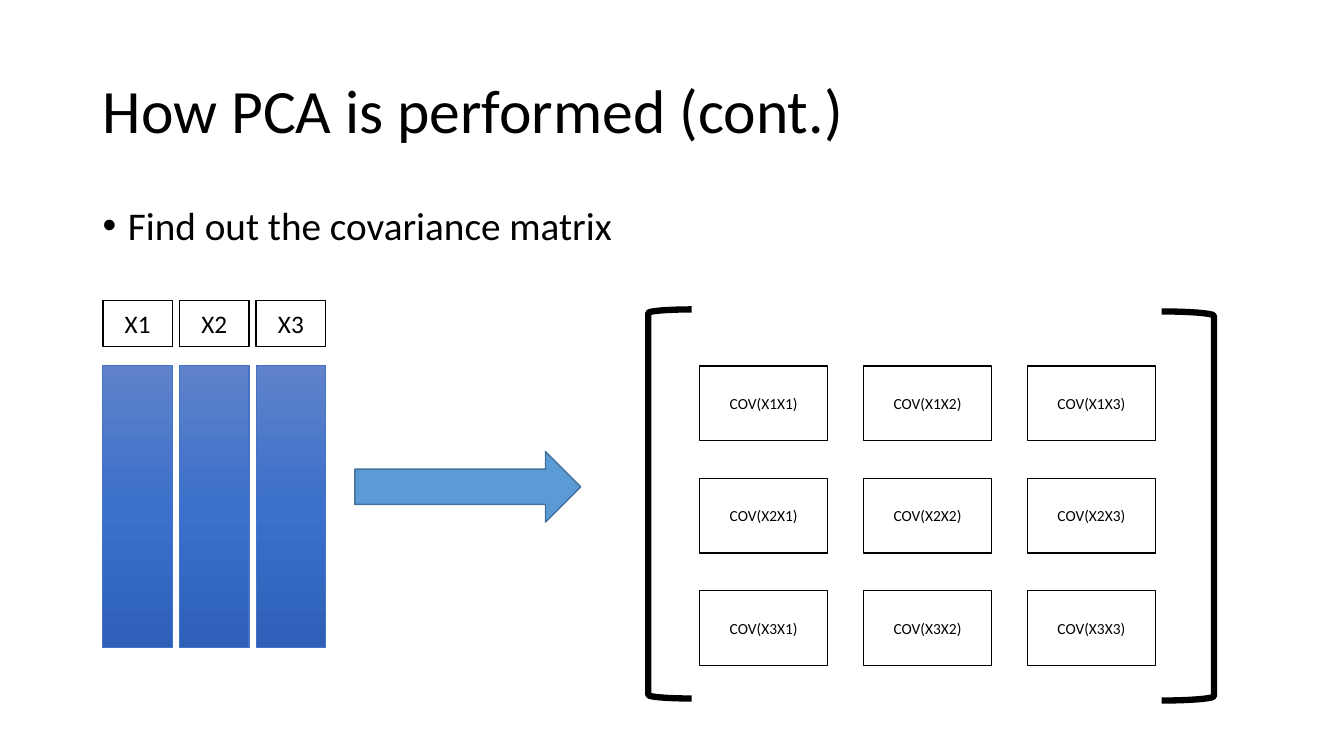
from copy import deepcopy

from lxml.etree import SubElement
from pptx import Presentation
from pptx.dml.color import RGBColor
from pptx.enum.shapes import MSO_SHAPE
from pptx.enum.text import MSO_ANCHOR, PP_ALIGN
from pptx.oxml.ns import qn
from pptx.util import Inches, Pt

FONT = "Calibri"
BLACK = "000000"
WHITE = "FFFFFF"
VARIABLES = ["X1", "X2", "X3"]
COLUMN_STOPS = [(0, "5F82CA"), (0.5, "3C70CA"), (1, "2E60B9")]


def color(value):
    """Turn a hex string into a colour."""
    return RGBColor.from_string(value)


def write(tf, text, size, align=PP_ALIGN.LEFT, anchor=MSO_ANCHOR.MIDDLE):
    """Write one run into a text frame and return its paragraph."""
    tf.word_wrap = True
    tf.vertical_anchor = anchor
    p = tf.paragraphs[0]
    p.alignment = align
    r = p.add_run()
    r.text = text
    r.font.name = FONT
    r.font.size = Pt(size)
    r.font.color.rgb = color(BLACK)
    return p


def add_shape(s, kind, x, y, w, h, fill=None, line=BLACK, width=1):
    """Add a flat preset shape, unfilled if no fill is given."""
    sp = s.shapes.add_shape(kind, Inches(x), Inches(y), Inches(w), Inches(h))
    sp.shadow.inherit = False
    if fill:
        sp.fill.solid()
        sp.fill.fore_color.rgb = color(fill)
    else:
        sp.fill.background()
    sp.line.color.rgb = color(line)
    sp.line.width = Pt(width)
    return sp


def add_label(s, text, size, x, y, w, h):
    """Add a white box with a black outline and centred text."""
    sp = add_shape(s, MSO_SHAPE.RECTANGLE, x, y, w, h, WHITE)
    write(sp.text_frame, text, size, PP_ALIGN.CENTER)


def fill_gradient(sp, stops):
    """Fill a shape from top to bottom with the given colour stops."""
    sp.fill.gradient()
    sp.fill.gradient_angle = 270
    first = sp._element.spPr.find(".//" + qn("a:gs"))
    first.addnext(deepcopy(first))
    for stop, (position, value) in zip(sp.fill.gradient_stops, stops):
        stop.position = position
        stop.color.rgb = color(value)


def add_title(s, text, x, y, w, h):
    """Add the slide title."""
    tf = s.shapes.add_textbox(Inches(x), Inches(y), Inches(w), Inches(h)).text_frame
    write(tf, text, 44).line_spacing = 0.9


def add_bullet(s, text, x, y, w, h):
    """Add the bulleted statement."""
    tf = s.shapes.add_textbox(Inches(x), Inches(y), Inches(w), Inches(h)).text_frame
    p = write(tf, text, 28, anchor=MSO_ANCHOR.TOP)
    p.line_spacing = 0.9
    pPr = p._p.get_or_add_pPr()
    pPr.set("marL", str(Inches(0.25)))
    pPr.set("indent", str(-Inches(0.25)))
    SubElement(pPr, qn("a:buFont"), typeface="Arial")
    SubElement(pPr, qn("a:buChar"), char="•")


def add_data_columns(s, x, y, w, h):
    """Add a header and a gradient bar for each variable."""
    pitch, header_h, bar_top = 0.76, 0.46, 0.65
    col_w = w - pitch * (len(VARIABLES) - 1)
    for i, name in enumerate(VARIABLES):
        left = x + i * pitch
        bar = add_shape(s, MSO_SHAPE.RECTANGLE, left, y + bar_top, col_w,
                        h - bar_top, line="4472C4", width=0.75)
        fill_gradient(bar, COLUMN_STOPS)
        add_label(s, name, 18, left, y, col_w, header_h)


def add_covariance_matrix(s, x, y, w, h):
    """Add the grid of covariances between two brackets."""
    cell_w, cell_h = 1.27, 0.74
    for i, row in enumerate(VARIABLES):
        for j, col in enumerate(VARIABLES):
            add_label(s, f"COV({row}{col})", 11, x + 0.51 + j * 1.625,
                      y + 0.56 + i * 1.115, cell_w, cell_h)
    bracket_h = h - 0.02
    brackets = [(MSO_SHAPE.LEFT_BRACKET, x, y, 0.43),
                (MSO_SHAPE.RIGHT_BRACKET, x + w - 0.52, y + 0.02, 0.52)]
    for kind, left, top, width in brackets:
        sp = add_shape(s, kind, left, top, width, bracket_h, width=4.5)
        sp.adjustments[0] = 0.083


def main():
    """Build and save the slide."""
    prs = Presentation()
    prs.slide_width, prs.slide_height = Inches(13.33), Inches(7.5)
    s = prs.slides.add_slide(prs.slide_layouts[6])
    add_title(s, "How PCA is performed (cont.)", 0.92, 0.4, 11.5, 1.45)
    add_bullet(s, "Find out the covariance matrix", 0.92, 2, 11.5, 4.76)
    add_data_columns(s, 1.02, 2.98, 2.21, 3.44)
    add_shape(s, MSO_SHAPE.RIGHT_ARROW, 3.52, 4.48, 2.24, 0.7, "5B9BD5", "42719B")
    add_covariance_matrix(s, 6.43, 3.07, 5.61, 3.88)
    prs.save("out.pptx")


if __name__ == "__main__":
    main()
